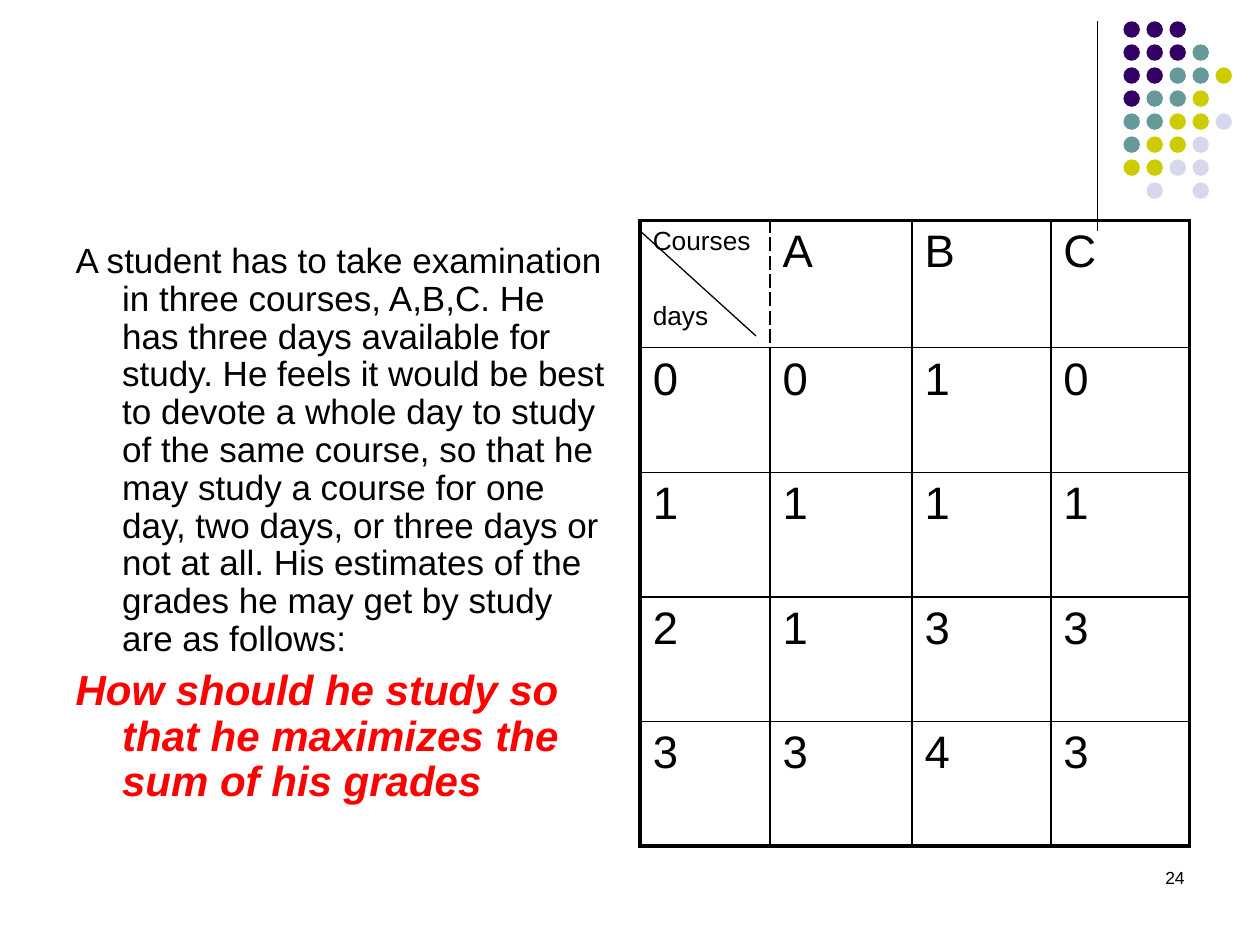
from dataclasses import dataclass
from pptx import Presentation
from pptx.dml.color import RGBColor as Rgb
from pptx.enum.shapes import MSO_CONNECTOR as Link, MSO_SHAPE as Shape
from pptx.enum.text import MSO_AUTO_SIZE as Fit, PP_ALIGN as Align
from pptx.oxml.ns import qn
from pptx.util import Pt
from lxml.etree import SubElement as Sub


@dataclass(frozen=True)
class Theme:
    """Colours, font and type sizes of the slide."""
    font: str = "Arial"
    ink: str = "000000"
    alert: str = "FF0000"
    dots: tuple = (("P", "330066"), ("T", "669999"), ("Y", "CCCC00"), ("L", "D8D8EC"))
    note: int = 10
    label: int = 15
    body: int = 20
    ask: int = 24
    grade: int = 26
    hair: float = 0.75
    thin: float = 1
    thick: float = 2.25


def put(item, **vals):
    """Set each named value on an item."""
    for name, val in vals.items():
        setattr(item, name, val)


class Page:
    """Draws styled parts on the current slide."""

    def __init__(self, slide, theme):
        """Keep the slide and its style."""
        self.slide, self.theme = slide, theme

    def text(self, para, words, size, tint=None, look=None, **form):
        """Write one run with its paragraph format."""
        put(para, **form)
        run = para.add_run()
        run.text = words
        put(run.font, name=self.theme.font, size=Pt(size), **(look or {}))
        run.font.color.rgb = Rgb.from_string(tint or self.theme.ink)

    def line(self, x1, y1, x2, y2):
        """Draw a hairline between two points."""
        ends = [Pt(v) for v in (x1, y1, x2, y2)]
        link = self.slide.shapes.add_connector(Link.STRAIGHT, *ends)
        put(link.line, width=Pt(self.theme.hair))
        link.line.color.rgb = Rgb.from_string(self.theme.ink)
        Sub(link._element.spPr, qn("a:effectLst"))

    def dots(self, rows, left, top, size, step):
        """Draw a group of dots from rows of colour keys."""
        tints = dict(self.theme.dots)
        group = self.slide.shapes.add_group_shape()
        for r, row in enumerate(rows):
            for c, key in enumerate(row):
                if key in tints:
                    dot = group.shapes.add_shape(
                        Shape.OVAL, Pt(left + c * step), Pt(top + r * step), Pt(size), Pt(size))
                    dot.fill.solid()
                    dot.fill.fore_color.rgb = Rgb.from_string(tints[key])
                    dot.line.fill.background()
                    dot.shadow.inherit = False

    def note(self, words, left, top, width, height):
        """Write a small right-aligned text box."""
        box = self.slide.shapes.add_textbox(Pt(left), Pt(top), Pt(width), Pt(height))
        box.text_frame.word_wrap = True
        self.text(box.text_frame.paragraphs[0], words, self.theme.note, alignment=Align.RIGHT)

    def body(self, parts, left, top, width, height, hang):
        """Fill the body placeholder with hanging paragraphs."""
        box = self.slide.placeholders[1]
        put(box, left=Pt(left), top=Pt(top), width=Pt(width), height=Pt(height))
        put(box.text_frame, word_wrap=True, auto_size=Fit.NONE)
        for i, (words, size, tint, look) in enumerate(parts):
            para = box.text_frame.add_paragraph() if i else box.text_frame.paragraphs[0]
            props = para._p.get_or_add_pPr()
            for key, val in {"marL": hang, "indent": -hang}.items():
                props.set(key, str(Pt(val)))
            Sub(props, qn("a:buNone"))
            self.text(para, words, size, tint, look,
                      line_spacing=0.9, space_before=Pt(6 if i else 0))

    def edge(self, cell, sides):
        """Give a cell its four borders."""
        props = cell._tc.get_or_add_tcPr()
        for i, (side, (width, dash)) in enumerate(sides.items()):
            rule = Sub(props, qn("a:ln" + side), w=str(Pt(width)))
            fill = Sub(rule, qn("a:solidFill"))
            Sub(fill, qn("a:srgbClr"), val=self.theme.ink)
            Sub(rule, qn("a:prstDash"), val=dash)
            props.insert(i, rule)

    def table(self, rows, left, top, widths, heights):
        """Draw the grade table with a heavy frame."""
        theme = self.theme
        high, wide = len(rows), len(widths)
        frame = self.slide.shapes.add_table(
            high, wide, Pt(left), Pt(top), Pt(sum(widths)), Pt(sum(heights)))
        grid = frame.table
        put(grid, first_row=False, horz_banding=False)
        for col, width in zip(grid.columns, widths):
            col.width = Pt(width)
        for row, height in zip(grid.rows, heights):
            row.height = Pt(height)

        def rule(outer, dash="solid"):
            return (theme.thick if outer else theme.thin), dash

        for r, row in enumerate(rows):
            for c, words in enumerate(row):
                cell = grid.cell(r, c)
                cell.fill.background()
                split = [("dash" if (r, c) == spot else "solid") for spot in ((0, 1), (0, 0))]
                self.edge(cell, {"L": rule(c == 0, split[0]), "R": rule(c == wide - 1, split[1]),
                                 "T": rule(r == 0), "B": rule(r == high - 1)})
                if isinstance(words, tuple):
                    first, last = words
                    self.text(cell.text_frame.paragraphs[0], first, theme.label)
                    self.text(cell.text_frame.add_paragraph(), last, theme.label,
                              space_before=Pt(26))
                else:
                    self.text(cell.text_frame.paragraphs[0], words, theme.grade)


STORY = ("A student has to take examination in three courses, A,B,C. He has three days "
         "available for study. He feels it would be best to devote a whole day to study "
         "of the same course, so that he may study a course for one day, two days, or "
         "three days or not at all. His estimates of the grades he may get by study "
         "are as follows:")
ASK = "How should he study so that he maximizes the sum of his grades"
GRADES = [(("Courses", "days"), "A", "B", "C"), "0010", "1111", "2133", "3343"]
DOTS = ["PPP", "PPPT", "PPTTY", "PTTY", "TTYYL", "TYYL", "YYLL", " L L"]


def main():
    """Build and save the slide."""
    deck = Presentation()
    put(deck, slide_width=Pt(720), slide_height=Pt(540))
    slide = deck.slides.add_slide(deck.slide_layouts[1])
    head = slide.shapes.title._element
    head.getparent().remove(head)
    theme = Theme()
    page = Page(slide, theme)
    page.line(627, 12.2, 627, 131.8)
    page.dots(DOTS, left=642, top=12.2, size=9.4, step=13.15)
    page.note("24", 516, 492, 168, 35)
    page.body([(STORY, theme.body, theme.ink, {}),
               (ASK, theme.ask, theme.alert, {"bold": True, "italic": True})],
              36, 135.4, 318.2, 382.3, hang=26.6)
    page.table(GRADES, 365.8, 126, [74.2, 81.2, 79.3, 79.3], [72.7] + [71.2] * 4)
    page.line(365.8, 132, 432, 192)
    deck.save("out.pptx")


if __name__ == "__main__":
    main()
